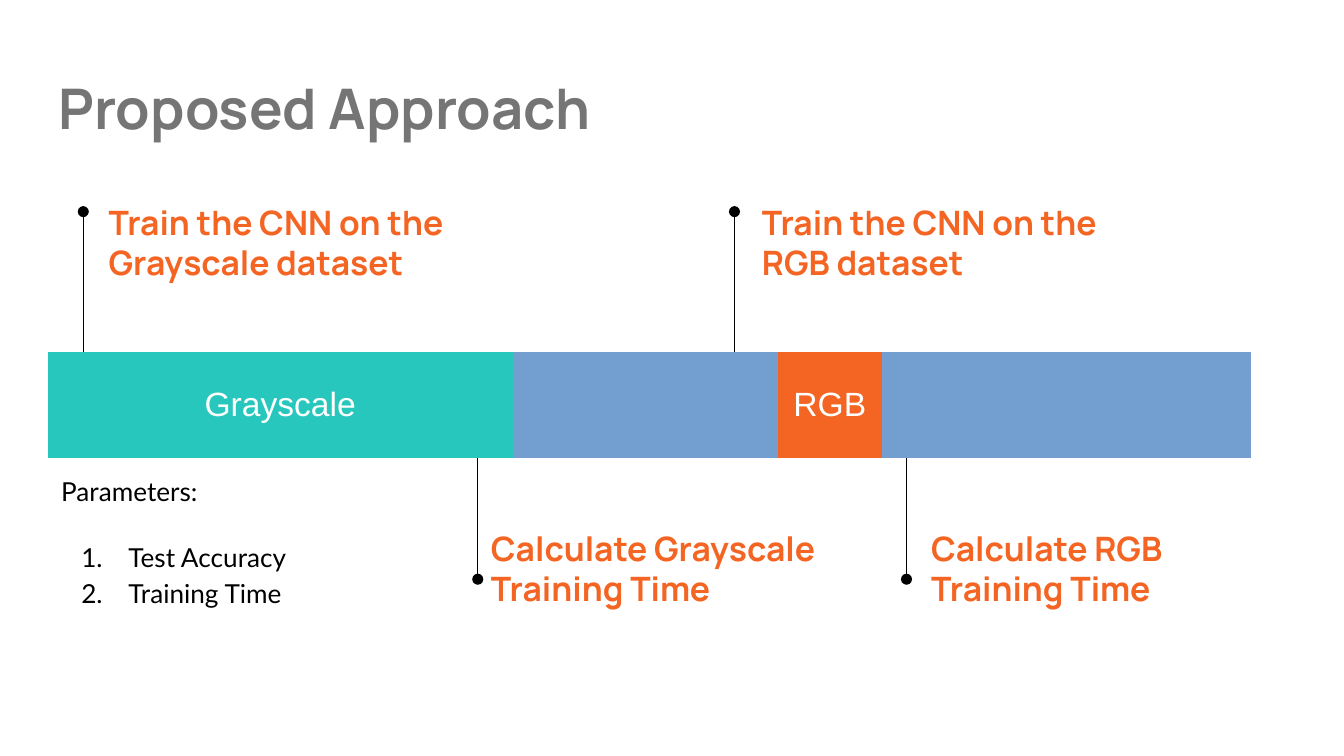
from dataclasses import dataclass

from lxml import etree
from pptx import Presentation
from pptx import util as u
from pptx.dml.color import RGBColor
from pptx.enum import shapes, text
from pptx.oxml.ns import qn

# Grid: 100 columns across the slide, square rows of the same 0.1 inch
CELL = u.Inches(0.1)
BLACK, WHITE, GRAY = "000000", "FFFFFF", "757575"
TEAL, BLUE, ORANGE = "27C7BD", "729FCF", "F46524"
NO_STYLE = "{2D5ABB26-0587-4C30-8999-92F81FD0307C}"
BAR_LEFT, BAR_TOP, BAR_HEIGHT = 3.55, 26.2, 7.9
STEP, WIDE, NARROW = 7.74, 11.4, 4.25
BAR_COLUMNS = [STEP] * 3 + [WIDE, NARROW] + [STEP] * 6 + [NARROW]


@dataclass
class Area:
    left: float
    top: float
    width: float
    height: float


@dataclass
class Segment:
    label: str
    first: int
    last: int
    color: str


@dataclass
class Callout:
    label: str
    line_x: float
    line_end: float
    area: Area


SEGMENTS = [Segment("Grayscale", 0, 3, TEAL), Segment("RGB", 4, 11, ORANGE)]
ABOVE, BELOW = 15.75, 43.1
CALLOUTS = [
    Callout("Train the CNN on the Grayscale dataset", 6.2, ABOVE, Area(7.1, 13.45, 27, 9.1)),
    Callout("Calculate Grayscale Training Time", 35.55, BELOW, Area(35.55, 40.1, 27, 4.3)),
    Callout("Train the CNN on the RGB dataset", 54.65, ABOVE, Area(55.7, 13.45, 30.5, 9.1)),
    Callout("Calculate RGB Training Time", 67.45, BELOW, Area(68.3, 40.1, 25.7, 4.3)),
]


def grid(count: float) -> int:
    return round(count * CELL)


def color(value: str) -> RGBColor:
    return RGBColor.from_string(value)


def place(box, area: Area) -> None:
    box.left, box.top = grid(area.left), grid(area.top)
    box.width, box.height = grid(area.width), grid(area.height)


def format_frame(frame, anchor) -> None:
    frame.word_wrap = True
    frame.auto_size = text.MSO_AUTO_SIZE.NONE
    frame.vertical_anchor = anchor
    frame.margin_left = frame.margin_right = CELL
    frame.margin_top = frame.margin_bottom = CELL


def format_text(frame, font: str, size: float, shade: str, bold=False,
                align=text.PP_ALIGN.LEFT) -> None:
    for para in frame.paragraphs:
        para.alignment = align
        for span in para.runs:
            span.font.name, span.font.size = font, u.Pt(size)
            span.font.bold = bold
            span.font.color.rgb = color(shade)


def fill_cell(cell, shade: str) -> None:
    cell.fill.solid()
    cell.fill.fore_color.rgb = color(shade)


def draw_bar(page, segments: list[Segment]) -> None:
    box = page.shapes.add_table(1, len(BAR_COLUMNS), grid(BAR_LEFT), grid(BAR_TOP),
                                grid(sum(BAR_COLUMNS)), grid(BAR_HEIGHT))
    table = box.table
    table._tbl.tblPr.find(qn("a:tableStyleId")).text = NO_STYLE
    for index, width in enumerate(BAR_COLUMNS):
        table.columns[index].width = grid(width)
        fill_cell(table.cell(0, index), BLUE)
    for segment in segments:
        cell = table.cell(0, segment.first)
        cell.merge(table.cell(0, segment.last))
        fill_cell(cell, segment.color)
        cell.vertical_anchor = text.MSO_ANCHOR.MIDDLE
        cell.margin_top = cell.margin_bottom = CELL
        cell.margin_left = cell.margin_right = CELL
        cell.text_frame.text = segment.label
        format_text(cell.text_frame, "Arial", 18, WHITE, align=text.PP_ALIGN.CENTER)


def draw_callout(page, callout: Callout) -> None:
    start = BAR_TOP if callout.line_end < BAR_TOP else BAR_TOP + BAR_HEIGHT
    line = page.shapes.add_connector(
        shapes.MSO_CONNECTOR.STRAIGHT, grid(callout.line_x), grid(start),
        grid(callout.line_x), grid(callout.line_end))
    line.line.color.rgb = color(BLACK)
    line.line.width = u.Pt(0.75)
    etree.SubElement(line.line._get_or_add_ln(), qn("a:tailEnd"), type="oval")
    etree.SubElement(line._element.spPr, qn("a:effectLst"))

    box = page.shapes.add_textbox(0, 0, 0, 0)
    place(box, callout.area)
    box.text_frame.text = callout.label
    format_frame(box.text_frame, text.MSO_ANCHOR.MIDDLE)
    format_text(box.text_frame, "Manrope", 18, ORANGE, bold=True)


def fill_parameters(box, heading: str, items: list[str]) -> None:
    place(box, Area(3.55, 34, 27.4, 10.4))
    frame = box.text_frame
    frame.text = "\n".join([heading, *items])
    format_frame(frame, text.MSO_ANCHOR.TOP)
    format_text(frame, "Lato", 14, BLACK)
    for index, para in enumerate(frame.paragraphs):
        para.line_spacing = 1.15
        para.space_before = u.Pt(16 if index == 1 else 0)
        props = para._p.get_or_add_pPr()
        numbered = index > 0
        props.set("marL", str(grid(5) if numbered else 0))
        props.set("indent", str(grid(-3.5) if numbered else 0))
        if numbered:
            etree.SubElement(props, qn("a:buFont"), typeface="Lato")
            etree.SubElement(props, qn("a:buAutoNum"), type="arabicPeriod")
        else:
            etree.SubElement(props, qn("a:buNone"))


def main() -> None:
    deck = Presentation()
    deck.slide_width, deck.slide_height = grid(100), grid(56.25)
    page = deck.slides.add_slide(deck.slide_layouts[1])

    # Title
    title = page.shapes.title
    place(title, Area(3.35, 4.5, 93.2, 7))
    title.text_frame.text = "Proposed Approach"
    format_frame(title.text_frame, text.MSO_ANCHOR.TOP)
    format_text(title.text_frame, "Manrope", 30, GRAY, bold=True)

    # Timeline bar and its callouts
    draw_bar(page, SEGMENTS)
    for callout in CALLOUTS:
        draw_callout(page, callout)

    # Numbered list of parameters
    fill_parameters(page.placeholders[1], "Parameters:", ["Test Accuracy", "Training Time"])

    deck.save("out.pptx")


if __name__ == "__main__":
    main()
